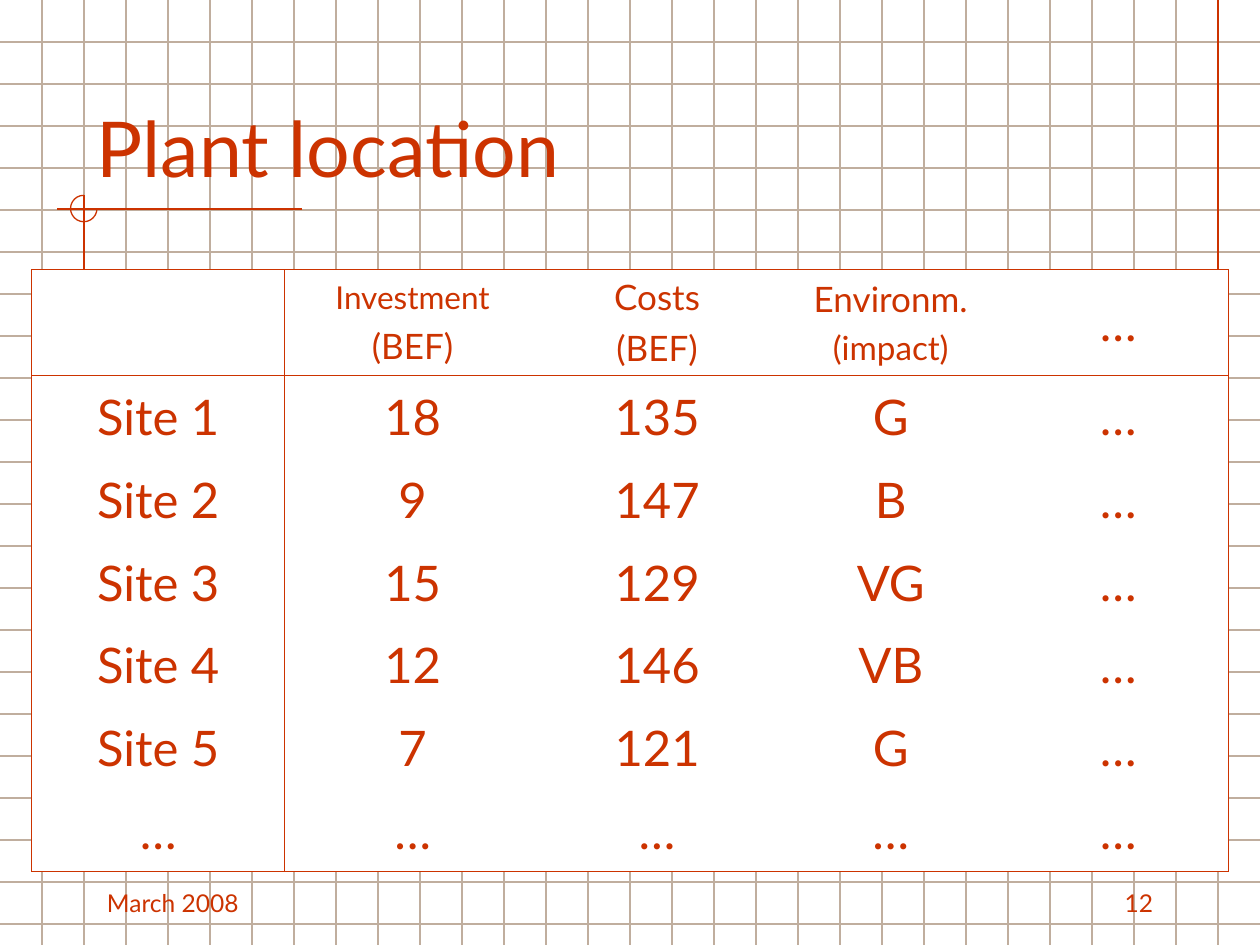
from dataclasses import dataclass

from lxml.etree import SubElement
from pptx import Presentation
from pptx.dml.color import RGBColor
from pptx.enum.shapes import MSO_CONNECTOR as Connector, MSO_SHAPE as Preset
from pptx.enum.text import MSO_ANCHOR as Anchor, MSO_AUTO_SIZE as AutoSize, PP_ALIGN as Align
from pptx.oxml import parse_xml
from pptx.oxml.ns import nsdecls, qn
from pptx.util import Inches, Pt


@dataclass(frozen=True)
class Theme:
    """Colours, font, type sizes and line widths of the slide."""
    accent: str = "CC3300"
    grid: str = "C0AE9E"
    paper: str = "FFFFFF"
    font: str = "Lato"
    title: int = 44
    body: int = 28
    footer: int = 14
    line: float = 0.75
    border: float = 0.45


THEME = Theme()
WIDTH, HEIGHT = 10, 7.5
STEP = 1 / 3
LEFT_RULE, RIGHT_RULE = 2 * STEP, 29 * STEP
TITLE_RULE = 1.66

COLUMN_WIDTHS = [2.01, 2.03, 1.85, 1.86, 1.75]
HEADER_HEIGHT, TABLE_HEIGHT = 0.84, 4.78
HEADER = ["", "Investment\n(BEF)", "Costs\n(BEF)", "Environm.\n(impact)", "…"]
HEADER_SIZES = [[THEME.body], [18, 20], [20, 20], [20, 19], [THEME.body]]
SITES = [
    ["Site 1", "18", "135", "G", "…"],
    ["Site 2", "9", "147", "B", "…"],
    ["Site 3", "15", "129", "VG", "…"],
    ["Site 4", "12", "146", "VB", "…"],
    ["Site 5", "7", "121", "G", "…"],
    ["…"] * 5,
]


def style_text(text_frame, sizes, align, anchor):
    """Format each paragraph with its own type size."""
    text_frame.word_wrap = True
    text_frame.vertical_anchor = anchor
    for index, (paragraph, size) in enumerate(zip(text_frame.paragraphs, sizes)):
        paragraph.alignment = align
        if index:
            paragraph.space_before = Pt(size / 4)
        font = paragraph.font
        font.name, font.size = THEME.font, Pt(size)
        font.color.rgb = RGBColor.from_string(THEME.accent)


def add_line(shapes, start, end, color):
    """Add a thin straight line without a shadow."""
    line = shapes.add_connector(Connector.STRAIGHT, *map(Inches, start + end))
    line.line.color.rgb = RGBColor.from_string(color)
    line.line.width = Pt(THEME.line)
    SubElement(line.element.spPr, qn("a:effectLst"))


def add_grid(slide):
    """Cover the slide with square grid paper."""
    shapes = slide.shapes.add_group_shape().shapes
    for row in range(1, int(HEIGHT / STEP) + 1):
        add_line(shapes, (0, row * STEP), (WIDTH, row * STEP), THEME.grid)
    for column in range(1, int(WIDTH / STEP)):
        add_line(shapes, (column * STEP, 0), (column * STEP, HEIGHT), THEME.grid)


def add_rules(slide):
    """Add the accent rules and the open circle at their crossing."""
    shapes = slide.shapes.add_group_shape().shapes
    add_line(shapes, (RIGHT_RULE, 0), (RIGHT_RULE, 2.58), THEME.accent)
    add_line(shapes, (2.4, TITLE_RULE), (0.45, TITLE_RULE), THEME.accent)
    add_line(shapes, (LEFT_RULE, 1.55), (LEFT_RULE, 4.09), THEME.accent)
    arc = shapes.add_shape(Preset.ARC, *map(Inches, (0.56, 1.55, 0.21, 0.21)))
    arc.adjustments[0], arc.adjustments[1] = 0, 162
    arc.shadow.inherit = False
    arc.fill.background()
    arc.line.color.rgb = RGBColor.from_string(THEME.accent)
    arc.line.width = Pt(THEME.line)


def add_footer(slide, left, text, align):
    """Add one text at the foot of the slide."""
    box = slide.shapes.add_textbox(*map(Inches, (left, 6.83, 2.08, 0.5)))
    box.text_frame.text = text
    style_text(box.text_frame, [THEME.footer], align, Anchor.BOTTOM)


def set_title(slide, text):
    """Place the title above the grid and fill it in."""
    title = slide.shapes.title
    slide.shapes.element.append(title.element)
    title.left, title.top, title.width, title.height = map(Inches, (LEFT_RULE, STEP, 8.5, 1.25))
    title.text_frame.text = text
    title.text_frame.auto_size = AutoSize.NONE
    style_text(title.text_frame, [THEME.title], Align.LEFT, Anchor.BOTTOM)


def set_borders(cell, sides):
    """Draw the named sides of a cell and clear the others."""
    properties = cell._tc.get_or_add_tcPr()
    for index, side in enumerate("LRTB"):
        paint = (f'<a:solidFill><a:srgbClr val="{THEME.accent}"/></a:solidFill>'
                 if side in sides else "<a:noFill/>")
        properties.insert(index, parse_xml(
            f'<a:ln{side} {nsdecls("a")} w="{Pt(THEME.border)}">{paint}</a:ln{side}>'))


def border_sides(row, column):
    """Return the ruled sides: outer frame, header row and first column."""
    rules = {
        "L": column < 2,
        "R": column in (0, len(HEADER) - 1),
        "T": row < 2,
        "B": row in (0, len(SITES)),
    }
    return [side for side, ruled in rules.items() if ruled]


def add_site_table(slide):
    """Add the table that compares the sites."""
    rows = [HEADER] + SITES
    frame = slide.shapes.add_table(
        len(rows), len(HEADER), *map(Inches, (0.25, 2.14, sum(COLUMN_WIDTHS), TABLE_HEIGHT)))
    table = frame.table
    table.first_row = table.horz_banding = False
    for column, width in zip(table.columns, COLUMN_WIDTHS):
        column.width = Inches(width)
    for index, row in enumerate(table.rows):
        row.height = Inches((TABLE_HEIGHT - HEADER_HEIGHT) / len(SITES) if index else HEADER_HEIGHT)
    for row, texts in enumerate(rows):
        for column, text in enumerate(texts):
            cell = table.cell(row, column)
            cell.text_frame.text = text
            sizes = [THEME.body] if row else HEADER_SIZES[column]
            style_text(cell.text_frame, sizes, Align.CENTER, Anchor.MIDDLE)
            cell.vertical_anchor = Anchor.MIDDLE
            cell.fill.solid()
            cell.fill.fore_color.rgb = RGBColor.from_string(THEME.paper)
            set_borders(cell, border_sides(row, column))


def main():
    """Build the plant location slide."""
    presentation = Presentation()
    presentation.slide_width, presentation.slide_height = Inches(WIDTH), Inches(HEIGHT)
    slide = presentation.slides.add_slide(presentation.slide_layouts[5])
    add_grid(slide)
    add_rules(slide)
    add_footer(slide, 0.75, "March 2008", Align.LEFT)
    add_footer(slide, 7.17, "12", Align.RIGHT)
    set_title(slide, "Plant location")
    add_site_table(slide)
    presentation.save("out.pptx")


if __name__ == "__main__":
    main()
